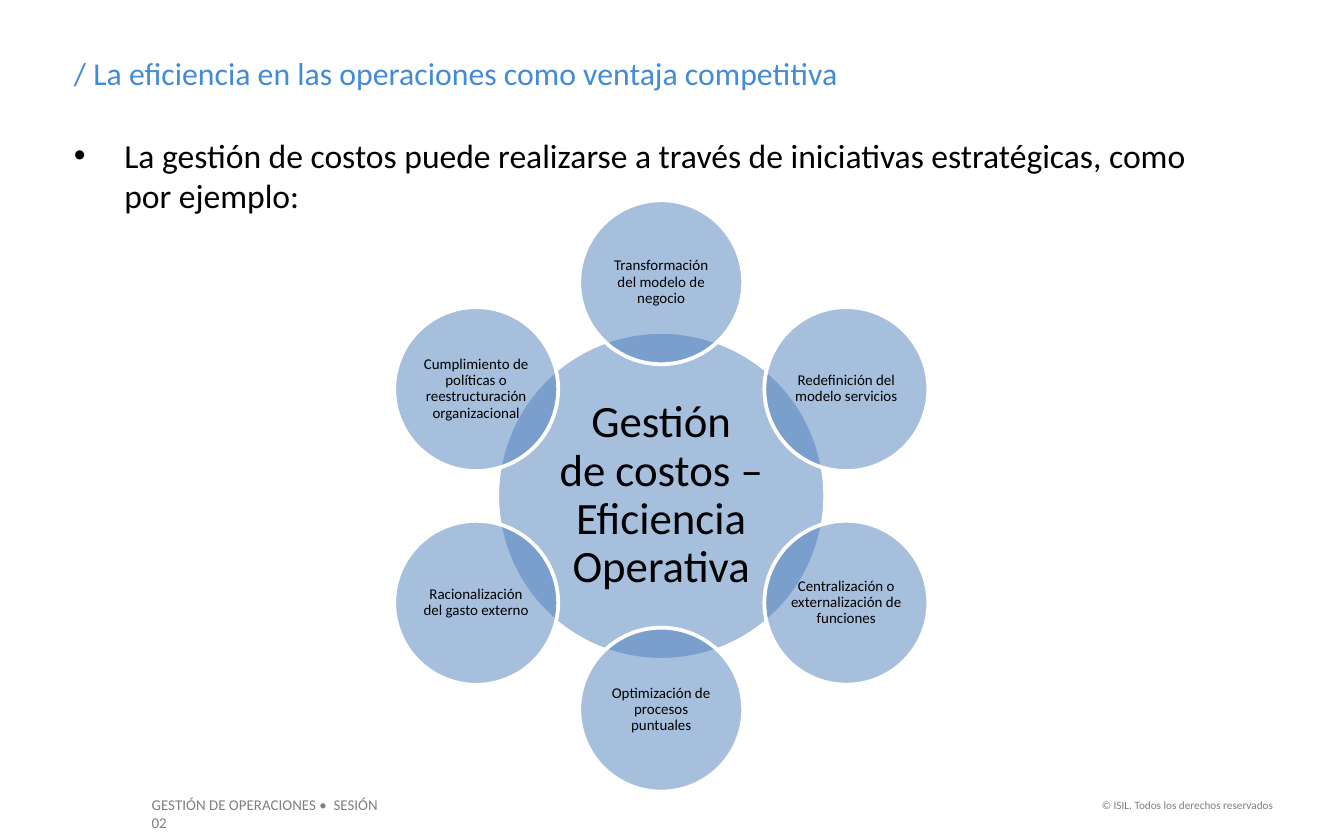
import math
from dataclasses import dataclass

from lxml import etree
from pptx import Presentation
from pptx.dml.color import RGBColor
from pptx.enum import shapes, text
from pptx.oxml.ns import qn
from pptx.util import Inches, Pt


@dataclass(frozen=True)
class Theme:
    font: str = "Calibri"
    heading: str = "438AD7"
    ink: str = "000000"
    footer: str = "7F7F7F"
    circle: str = "4F81BD"
    outline: str = "FFFFFF"
    circle_opacity: int = 50
    title_size: int = 17
    body_size: int = 18
    hub_size: int = 24
    small_size: int = 8
    copyright_size: int = 6


@dataclass(frozen=True)
class Label:
    words: str
    size: int
    color: str
    align: text.PP_ALIGN = text.PP_ALIGN.LEFT
    anchor: text.MSO_ANCHOR = text.MSO_ANCHOR.TOP
    inset_x: float = 0.1
    inset_y: float = 0.05
    line_spacing: float = 1.0


@dataclass(frozen=True)
class Box:
    left: float
    top: float
    width: float
    height: float


@dataclass(frozen=True)
class Circle:
    x: float
    y: float
    diameter: float
    label: Label


THEME = Theme()
HUB_X, HUB_Y, HUB_DIAMETER = 4.92, 3.69, 2.44
ORBIT_RADIUS = 1.59
INITIATIVES = (
    "Transformación del modelo de negocio",
    "Redefinición del modelo servicios",
    "Centralización o externalización de funciones",
    "Optimización de procesos puntuales",
    "Racionalización del gasto externo",
    "Cumplimiento de políticas o reestructuración organizacional",
)


def write(shape, label: Label) -> None:
    frame = shape.text_frame
    frame.text = label.words
    frame_format = {
        "word_wrap": True,
        "auto_size": text.MSO_AUTO_SIZE.NONE,
        "vertical_anchor": label.anchor,
        "margin_left": Inches(label.inset_x),
        "margin_right": Inches(label.inset_x),
        "margin_top": Inches(label.inset_y),
        "margin_bottom": Inches(label.inset_y),
    }
    for name, value in frame_format.items():
        setattr(frame, name, value)
    paragraph = frame.paragraphs[0]
    paragraph_format = {
        "alignment": label.align,
        "line_spacing": label.line_spacing,
        "space_before": Pt(0),
    }
    for name, value in paragraph_format.items():
        setattr(paragraph, name, value)
    for run in paragraph.runs:
        run.font.name = THEME.font
        run.font.size = Pt(label.size)
        run.font.color.rgb = RGBColor.from_string(label.color)


def place(shape, box: Box) -> None:
    for name in ("left", "top", "width", "height"):
        setattr(shape, name, Inches(getattr(box, name)))


def remove_bullet(paragraph) -> None:
    properties = paragraph._p.get_or_add_pPr()
    properties.set("marL", "0")
    properties.set("indent", "0")
    etree.SubElement(properties, qn("a:buNone"))


def draw_circle(slide, circle: Circle) -> None:
    radius = circle.diameter / 2
    shape = slide.shapes.add_shape(
        shapes.MSO_SHAPE.OVAL,
        Inches(circle.x - radius), Inches(circle.y - radius),
        Inches(circle.diameter), Inches(circle.diameter),
    )
    shape.shadow.inherit = False
    shape.fill.solid()
    shape.fill.fore_color.rgb = RGBColor.from_string(THEME.circle)
    color = shape._element.spPr.find(qn("a:solidFill")).find(qn("a:srgbClr"))
    etree.SubElement(color, qn("a:alpha"), val=str(THEME.circle_opacity * 1000))
    shape.line.color.rgb = RGBColor.from_string(THEME.outline)
    shape.line.width = Pt(2)
    write(shape, circle.label)


def circle_label(words: str, size: int, inset: float) -> Label:
    return Label(words, size, THEME.ink, text.PP_ALIGN.CENTER,
                 text.MSO_ANCHOR.MIDDLE, inset, inset, 0.9)


def draw_wheel(slide) -> None:
    """Draw the hub, then the initiatives clockwise from the top."""
    hub = circle_label("Gestión\vde costos – Eficiencia Operativa", THEME.hub_size, 0.04)
    draw_circle(slide, Circle(HUB_X, HUB_Y, HUB_DIAMETER, hub))
    for index, words in enumerate(INITIATIVES):
        angle = 2 * math.pi * index / len(INITIATIVES)
        draw_circle(slide, Circle(
            HUB_X + ORBIT_RADIUS * math.sin(angle),
            HUB_Y - ORBIT_RADIUS * math.cos(angle),
            HUB_DIAMETER / 2,
            circle_label(words, THEME.small_size, 0.01),
        ))


def main() -> None:
    presentation = Presentation()
    presentation.slide_width = Inches(10)
    presentation.slide_height = Inches(6.25)
    slide = presentation.slides.add_slide(presentation.slide_layouts[1])

    title, body = slide.placeholders
    remove_bullet(body.text_frame.paragraphs[0])
    footer = slide.shapes.add_textbox(0, 0, 0, 0)
    rights = slide.shapes.add_textbox(0, 0, 0, 0)
    texts = (
        (title, Box(0.45, 0.35, 7.88, 0.39),
         Label("/ La eficiencia en las operaciones como ventaja competitiva",
               THEME.title_size, THEME.heading)),
        (body, Box(0.45, 0.95, 8.72, 0.71),
         Label("La gestión de costos puede realizarse a través de iniciativas "
               "estratégicas, como por ejemplo:", THEME.body_size, THEME.ink)),
        (footer, Box(1.03, 5.87, 2.02, 0.24),
         Label("GESTIÓN DE OPERACIONES •  SESIÓN 02",
               THEME.small_size, THEME.footer)),
        (rights, Box(8.03, 5.89, 1.54, 0.2),
         Label("© ISIL. Todos los derechos reservados", THEME.copyright_size,
               THEME.footer, text.PP_ALIGN.RIGHT)),
    )
    for shape, box, label in texts:
        place(shape, box)
        write(shape, label)

    draw_wheel(slide)
    presentation.save("out.pptx")


if __name__ == "__main__":
    main()
